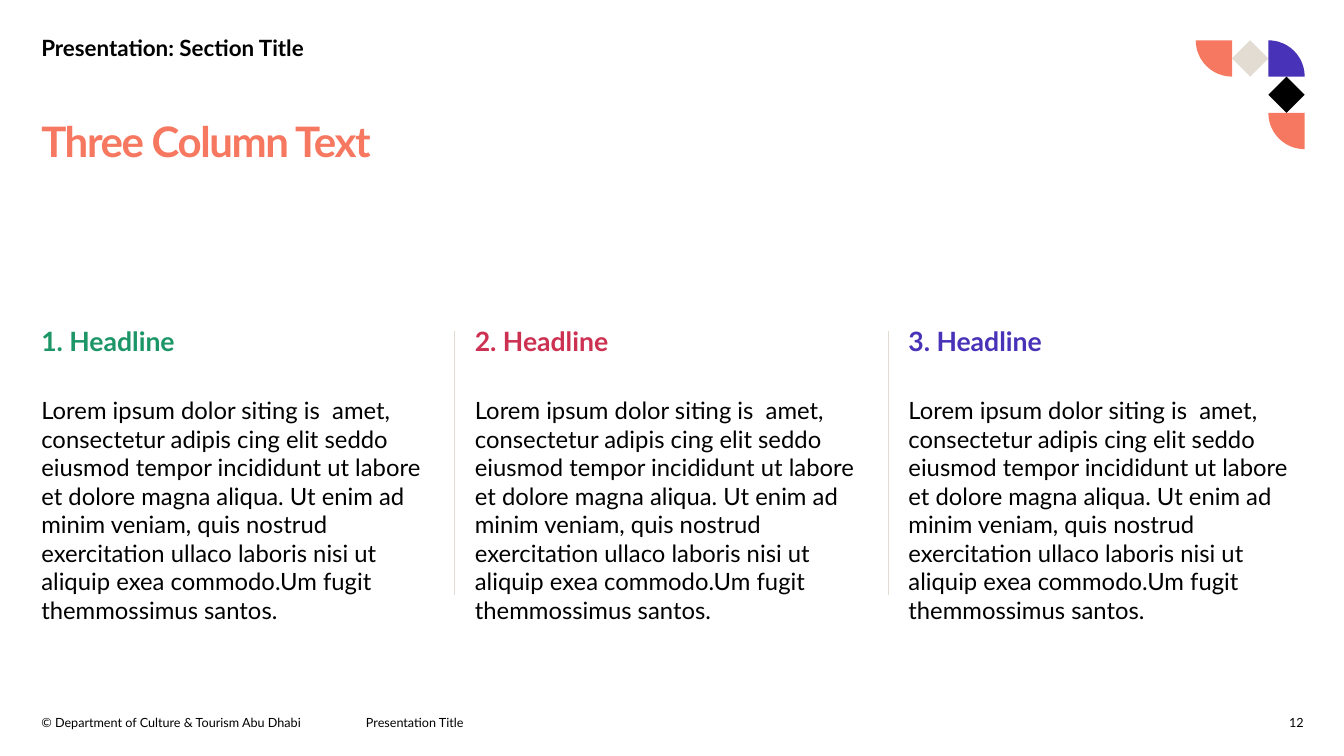
from lxml import etree
from pptx import Presentation
from pptx.dml.color import RGBColor
from pptx.enum.shapes import MSO_CONNECTOR, MSO_SHAPE
from pptx.enum.text import MSO_ANCHOR, MSO_AUTO_SIZE, PP_ALIGN
from pptx.oxml.ns import qn
from pptx.util import Inches, Pt

LEFT, RIGHT = PP_ALIGN.LEFT, PP_ALIGN.RIGHT
TOP, BOTTOM = MSO_ANCHOR.TOP, MSO_ANCHOR.BOTTOM
WEDGE, DIAMOND = MSO_SHAPE.PIE_WEDGE, MSO_SHAPE.DIAMOND
STRAIGHT = MSO_CONNECTOR.STRAIGHT

FONT = "Lato"
COLORS = {
    "black": "000000", "sand": "E3DCD3", "coral": "F77860",
    "violet": "4832B8", "green": "1C9667", "red": "CD3151",
}
COMPARISON_LAYOUT = 4

# Grid, in inches
MARGIN = 0.41
COL_WIDTH, COL_PITCH, COL_TOP, COL_HEIGHT = 3.91, 4.3, 3.22, 3.44
HEADER_WIDTH = 10.76
RULE_TOP, RULE_BOTTOM, RULE_GAP = 3.28, 5.9, 0.2
FOOTER_TOP, FOOTER_HEIGHT = 7.05, 0.19
TILE, MOTIF_LEFT, MOTIF_TOP = 0.36, 11.86, 0.4

HEADLINES = [("1. Headline", "green"), ("2. Headline", "red"), ("3. Headline", "violet")]
COLUMN_TEXT = (
    "Lorem ipsum dolor siting is  amet, consectetur adipis cing elit seddo "
    "eiusmod tempor incididunt ut labore et dolore magna aliqua. Ut enim ad "
    "minim veniam, quis nostrud exercitation ullaco laboris nisi ut aliquip "
    "exea commodo.Um fugit themmossimus santos."
)
FOOTERS = [
    ("© Department of Culture & Tourism Abu Dhabi", MARGIN, 3.12, LEFT),
    ("Presentation Title", 3.63, 2.65, LEFT),
    ("12", 12.56, 0.37, RIGHT),
]
# Shape, grid column, grid row, rotation, colour
MOTIF = [
    (WEDGE, 0, 0, 270, "coral"),
    (DIAMOND, 1, 0, 0, "sand"),
    (WEDGE, 2, 0, 90, "violet"),
    (DIAMOND, 2, 1, 0, "black"),
    (WEDGE, 2, 2, 270, "coral"),
]


def color(name):
    return RGBColor.from_string(COLORS[name])


def set_frame(sp, left, top, width, height, anchor=TOP):
    """Place a text shape and strip its insets and autofit."""
    sp.left, sp.top = Inches(left), Inches(top)
    sp.width, sp.height = Inches(width), Inches(height)
    tf = sp.text_frame
    tf.auto_size = MSO_AUTO_SIZE.NONE
    tf.word_wrap = True
    tf.vertical_anchor = anchor
    tf.margin_left = tf.margin_top = tf.margin_right = tf.margin_bottom = 0
    return tf


def write(p, text, size, fill="black", bold=False, align=LEFT, before=0, after=0,
          line=1.0, level=0, tracking=None):
    """Fill a paragraph with one formatted run and no bullet."""
    p.level = level
    p.alignment = align
    p.line_spacing = line
    p.space_before, p.space_after = Pt(before), Pt(after)
    pPr = p._p.get_or_add_pPr()
    pPr.set("marL", "0")
    pPr.set("indent", "0")
    etree.SubElement(pPr, qn("a:buNone"))
    r = p.add_run()
    r.text = text
    r.font.name, r.font.size, r.font.bold = FONT, Pt(size), bold
    r.font.color.rgb = color(fill)
    if tracking is not None:
        r._r.get_or_add_rPr().set("spc", str(tracking))


def add_tile(s, kind, col, row, rotation, fill):
    sp = s.shapes.add_shape(kind, Inches(MOTIF_LEFT + col * TILE),
                            Inches(MOTIF_TOP + row * TILE), Inches(TILE), Inches(TILE))
    sp.rotation = rotation
    sp.shadow.inherit = False
    sp.fill.solid()
    sp.fill.fore_color.rgb = color(fill)
    sp.line.fill.background()


def add_rule(s, x):
    line = s.shapes.add_connector(STRAIGHT, Inches(x), Inches(RULE_TOP),
                                  Inches(x), Inches(RULE_BOTTOM))
    line.line.color.rgb = color("sand")
    line.line.width = Pt(0.5)
    etree.SubElement(line._element.spPr, qn("a:effectLst"))


def add_footer(s, text, left, width, align):
    sp = s.shapes.add_textbox(0, 0, 0, 0)
    tf = set_frame(sp, left, FOOTER_TOP, width, FOOTER_HEIGHT, BOTTOM)
    write(tf.paragraphs[0], text, 9, align=align)


def fill_column(sp, left, headline, fill):
    tf = set_frame(sp, left, COL_TOP, COL_WIDTH, COL_HEIGHT)
    write(tf.paragraphs[0], headline, 19, fill=fill, bold=True, after=12)
    write(tf.add_paragraph(), COLUMN_TEXT, 17, before=16, level=1)


def main():
    prs = Presentation()
    prs.slide_width, prs.slide_height = Inches(13.33), Inches(7.5)
    s = prs.slides.add_slide(prs.slide_layouts[COMPARISON_LAYOUT])
    title, section, *columns = s.placeholders

    for tile in MOTIF:
        add_tile(s, *tile)

    tf = set_frame(section, MARGIN, 0.08, HEADER_WIDTH, 0.53, BOTTOM)
    write(tf.paragraphs[0], "Presentation: Section Title", 16, bold=True)
    tf = set_frame(title, MARGIN, 1.2, HEADER_WIDTH, 0.93)
    write(tf.paragraphs[0], "Three Column Text", 30, fill="coral", bold=True,
          line=0.9, tracking=-100)

    for i, (sp, (headline, fill)) in enumerate(zip(columns, HEADLINES)):
        left = MARGIN + i * COL_PITCH
        fill_column(sp, left, headline, fill)
        if i:
            add_rule(s, left - RULE_GAP)

    for footer in FOOTERS:
        add_footer(s, *footer)
    prs.save("out.pptx")


if __name__ == "__main__":
    main()
